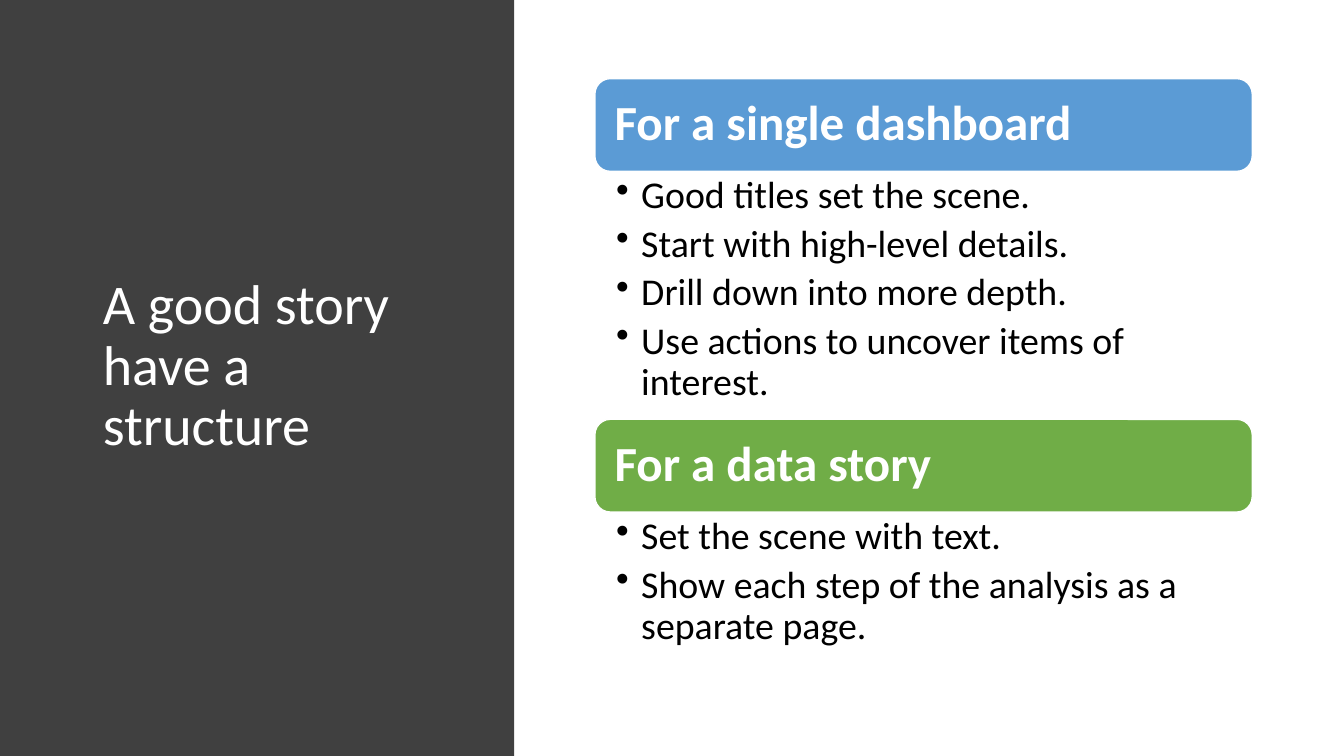
from lxml import etree
from pptx import Presentation
from pptx.dml.color import RGBColor
from pptx.enum.shapes import MSO_SHAPE
from pptx.enum.text import MSO_ANCHOR, MSO_AUTO_SIZE, PP_ALIGN
from pptx.oxml.ns import qn
from pptx.util import Inches, Pt

RECTANGLE, ROUNDED = MSO_SHAPE.RECTANGLE, MSO_SHAPE.ROUNDED_RECTANGLE
MIDDLE, TOP = MSO_ANCHOR.MIDDLE, MSO_ANCHOR.TOP
LEFT, NO_FIT = PP_ALIGN.LEFT, MSO_AUTO_SIZE.NONE

WHITE = RGBColor(0xFF, 0xFF, 0xFF)
BLACK = RGBColor(0x00, 0x00, 0x00)
CHARCOAL = RGBColor(0x40, 0x40, 0x40)
BLUE = RGBColor(0x5B, 0x9B, 0xD5)
GREEN = RGBColor(0x70, 0xAD, 0x47)

# Content: heading, colour, height of the list, bullets
TITLE = "A good story have a structure"
SECTIONS = [
    ("For a single dashboard", BLUE, 2.46, [
        "Good titles set the scene.",
        "Start with high-level details.",
        "Drill down into more depth.",
        "Use actions to uncover items of interest.",
    ]),
    ("For a data story", GREEN, 1.43, [
        "Set the scene with text.",
        "Show each step of the analysis as a separate page.",
    ]),
]

# Layout in inches
SLIDE_WIDTH, SLIDE_HEIGHT = 13.33, 7.5
PANEL_WIDTH = 5.1
TITLE_BOX = (0.92, 0.68, 3.67, 5.92)
COLUMN_LEFT, COLUMN_TOP, COLUMN_WIDTH = 5.9, 0.78, 6.52
HEADING_HEIGHT = 0.92
BULLET_INDENT = 0.25


def place(*lengths):
    return [Inches(length) for length in lengths]


def add_block(slide, kind, box, color):
    block = slide.shapes.add_shape(kind, *place(*box))
    block.shadow.inherit = False
    block.fill.solid()
    block.fill.fore_color.rgb = color
    block.line.fill.background()
    return block


def set_frame(shape, anchor, insets):
    frame = shape.text_frame
    frame.word_wrap = True
    frame.auto_size = NO_FIT
    frame.vertical_anchor = anchor
    (frame.margin_left, frame.margin_top,
     frame.margin_right, frame.margin_bottom) = place(*insets)
    return frame


def write(para, text, size, color, bold=False):
    para.text = text
    para.alignment = LEFT
    para.line_spacing = 0.9
    para.font.name = "Calibri"
    para.font.size = Pt(size)
    para.font.bold = bold
    para.font.color.rgb = color


def add_bullet(para):
    properties = para._p.get_or_add_pPr()
    properties.set("marL", str(Inches(BULLET_INDENT)))
    properties.set("indent", str(-Inches(BULLET_INDENT)))
    etree.SubElement(properties, qn("a:buChar"), char="•")


def main():
    deck = Presentation()
    deck.slide_width, deck.slide_height = place(SLIDE_WIDTH, SLIDE_HEIGHT)
    slide = deck.slides.add_slide(deck.slide_layouts[5])

    # Title on the dark side panel
    title = slide.shapes.title
    title.left, title.top, title.width, title.height = place(*TITLE_BOX)
    frame = set_frame(title, MIDDLE, (0.1, 0.05, 0.1, 0.05))
    write(frame.paragraphs[0], TITLE, 40, WHITE)
    panel = add_block(slide, RECTANGLE, (0, 0, PANEL_WIDTH, SLIDE_HEIGHT), CHARCOAL)
    title.element.addprevious(panel.element)

    # Headings with their lists, stacked down the column
    top = COLUMN_TOP
    for heading, color, list_height, bullets in SECTIONS:
        bar = add_block(slide, ROUNDED,
                        (COLUMN_LEFT, top, COLUMN_WIDTH, HEADING_HEIGHT), color)
        bar.line.color.rgb = WHITE
        bar.line.width = Pt(1)
        frame = set_frame(bar, MIDDLE, (0.15, 0.15, 0.15, 0.15))
        write(frame.paragraphs[0], heading, 35, WHITE, bold=True)
        top += HEADING_HEIGHT

        box = slide.shapes.add_textbox(
            *place(COLUMN_LEFT, top, COLUMN_WIDTH, list_height))
        frame = set_frame(box, TOP, (0.21, 0.05, 0.27, 0.05))
        for index, text in enumerate(bullets):
            para = frame.add_paragraph() if index else frame.paragraphs[0]
            add_bullet(para)
            write(para, text, 27, BLACK)
            para.space_after = Pt(5.4)
        top += list_height

    deck.save("out.pptx")


if __name__ == "__main__":
    main()
